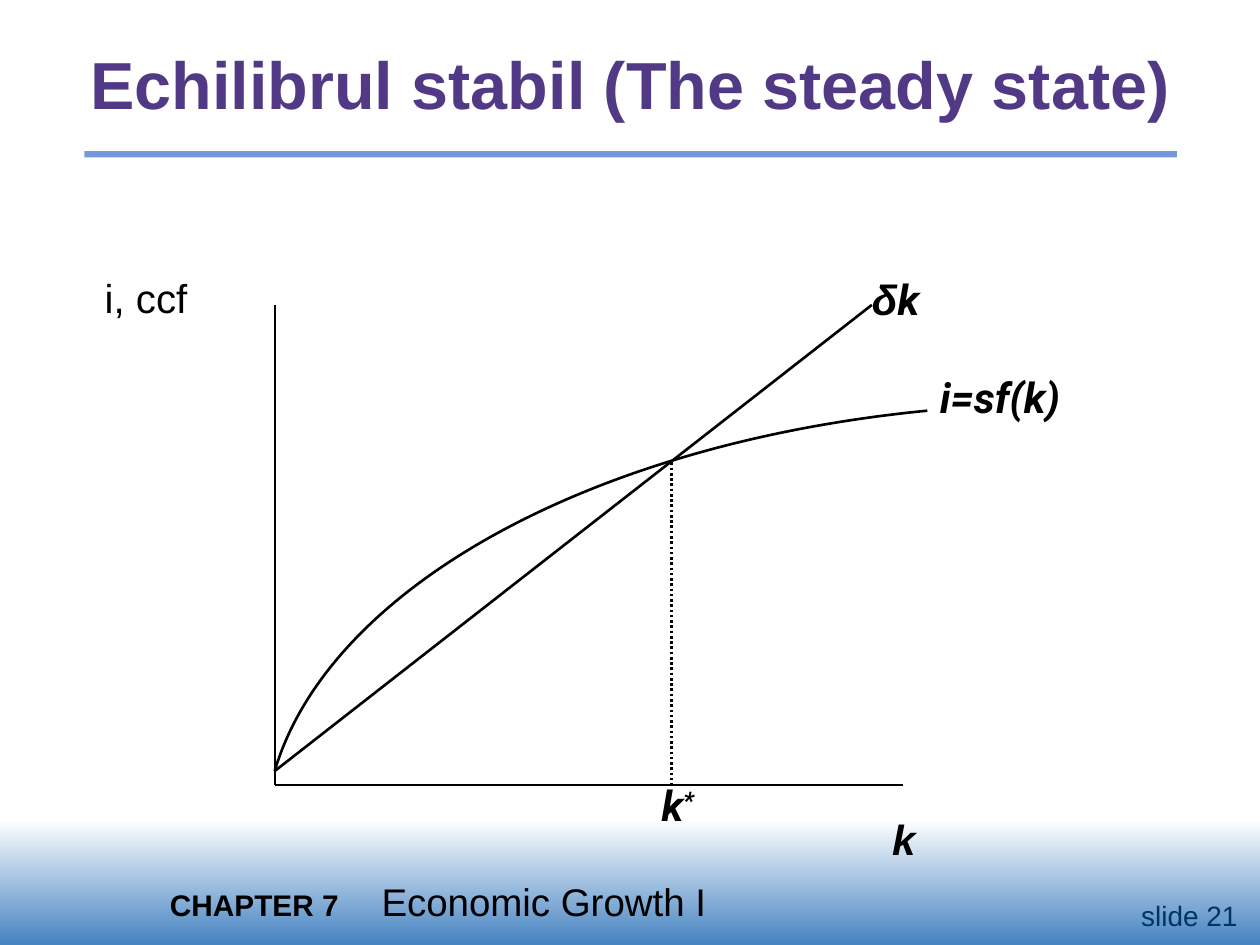
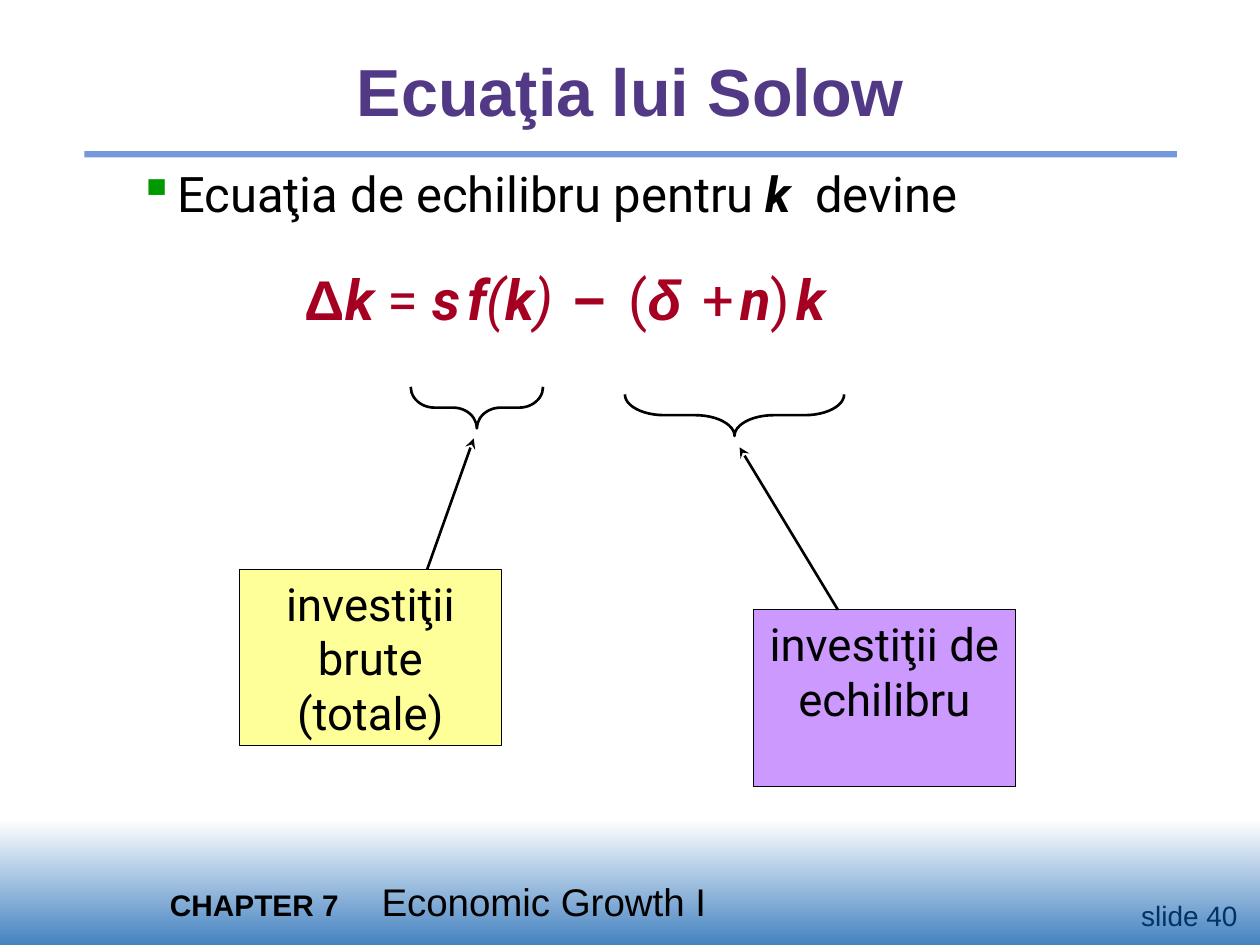
import pptx
import pptx.dml.color
import pptx.enum.dml
import pptx.enum.shapes
import pptx.enum.text
import pptx.oxml
import pptx.oxml.ns
import pptx.util

Inches, Pt = pptx.util.Inches, pptx.util.Pt
qn = pptx.oxml.ns.qn
SHAPE = pptx.enum.shapes.MSO_SHAPE
ALIGN = pptx.enum.text.PP_ALIGN
ANCHOR = pptx.enum.text.MSO_ANCHOR

COLORS = {
    "black": "000000", "white": "FFFFFF", "title": "523985", "rule": "7598DD",
    "band": "4583C1", "number": "003366", "bullet": "009900",
    "equation": "A50021", "yellow": "FFFF99", "violet": "CC99FF",
}
TITLE_ONLY = 5


def rgb(name):
    """Return the named colour of the palette."""
    return pptx.dml.color.RGBColor.from_string(COLORS[name])


def add_child(parent, tag, **attrs):
    """Append a drawing element with attributes and return it."""
    el = parent.makeelement(qn(tag), attrs)
    parent.append(el)
    return el


def style(font, size=None, name=None, color=None, bold=None, italic=None):
    """Set the given properties of a run or paragraph font."""
    if size:
        font.size = Pt(size)
    if name:
        font.name = name
    if color:
        font.color.rgb = rgb(color)
    if bold is not None:
        font.bold = bold
    if italic is not None:
        font.italic = italic


def write(p, runs, align=ALIGN.LEFT, **shared):
    """Fill a paragraph with (text, own font properties) runs."""
    p.alignment = align
    style(p.font, **shared)
    for text, own in runs:
        r = p.add_run()
        r.text = text
        style(r.font, **own)


def set_frame(tf, insets=(0.1, 0.05), anchor=ANCHOR.TOP):
    """Wrap a text frame and set its margins and anchor."""
    tf.word_wrap = True
    tf.auto_size = pptx.enum.text.MSO_AUTO_SIZE.NONE
    tf.margin_left = tf.margin_right = Inches(insets[0])
    tf.margin_top = tf.margin_bottom = Inches(insets[1])
    tf.vertical_anchor = anchor


def add_text(s, box, **frame):
    """Add a text box and return its text frame."""
    tf = s.shapes.add_textbox(*map(Inches, box)).text_frame
    set_frame(tf, **frame)
    return tf


def add_label(s, x, y, w, runs, align=ALIGN.LEFT, **font):
    """Add a one-line label without margins."""
    tf = add_text(s, (x, y, w, 0.4), insets=(0, 0), anchor=ANCHOR.MIDDLE)
    write(tf.paragraphs[0], runs, align, color="black", **font)
    return tf


def add_shape(s, kind, box, fill=None, line=None):
    """Add a preset shape without shadow; line is a width in points."""
    sp = s.shapes.add_shape(kind, *map(Inches, box))
    sp.shadow.inherit = False
    if fill:
        sp.fill.solid()
        sp.fill.fore_color.rgb = rgb(fill)
    else:
        sp.fill.background()
    if line:
        sp.line.color.rgb = rgb("black")
        sp.line.width = Pt(line)
    else:
        sp.line.fill.background()
    return sp


def add_line(s, start, end, width=1.5):
    """Add a straight black line between two points."""
    cx = s.shapes.add_connector(pptx.enum.shapes.MSO_CONNECTOR.STRAIGHT,
                                *map(Inches, (*start, *end)))
    cx.line.color.rgb = rgb("black")
    cx.line.width = Pt(width)
    add_child(cx._element.spPr, "a:effectLst")
    return cx


def add_curve(s, points):
    """Add an open cubic curve through start, two controls and end."""
    pts = [(Inches(x), Inches(y)) for x, y in points]
    builder = s.shapes.build_freeform(*pts[0])
    builder.add_line_segments(pts[1:], close=False)
    sp = builder.convert_to_shape()
    segments = list(sp._element.iter(qn("a:lnTo")))
    curve = add_child(segments[0].getparent(), "a:cubicBezTo")
    for segment in segments:
        curve.append(segment[0])
        segment.getparent().remove(segment)
    sp.shadow.inherit = False
    sp.fill.background()
    sp.line.color.rgb = rgb("black")
    sp.line.width = Pt(1.5)


def add_footer(s, number, x=0, y=6.5):
    """Add the gradient band with the chapter and the slide number."""
    band = add_shape(s, SHAPE.RECTANGLE, (x, y, 10, 1), "white")
    band.fill.gradient()
    band.fill.gradient_angle = 270
    for stop, place, color in zip(band.fill.gradient_stops, (0, 1), ("white", "band")):
        stop.position = place
        stop.color.rgb = rgb(color)

    p = add_text(s, (x + 1.25, y + 0.42, 7.5, 0.47)).paragraphs[0]
    write(p, [("CHAPTER 7", dict(size=17, bold=True)),
              ("\tEconomic Growth I", dict(size=22))], name="Arial", color="black")
    tabs = p._p.get_or_add_pPr().makeelement(qn("a:tabLst"), {})
    add_child(tabs, "a:tab", pos=str(Inches(1.68)), algn="l")
    p._p.pPr.insert(0, tabs)

    p = add_text(s, (x + 8.67, y + 0.58, 1.25, 0.37)).paragraphs[0]
    write(p, [(f"slide {number}", {})], ALIGN.RIGHT, size=16, name="Arial", color="number")


def add_slide(prs, title, number, box, inset):
    """Add a slide with the shared title, rule and footer."""
    s = prs.slides.add_slide(prs.slide_layouts[TITLE_ONLY])
    add_footer(s, number)
    add_shape(s, SHAPE.RECTANGLE, (0.67, 1.2, 8.67, 0.05), "rule")
    sp = s.shapes.title
    sp.left, sp.top, sp.width, sp.height = map(Inches, box)
    set_frame(sp.text_frame, inset, ANCHOR.MIDDLE)
    write(sp.text_frame.paragraphs[0], [(title, {})], ALIGN.CENTER,
          size=38, name="Arial", color="title", bold=True)
    return s


def add_steady_state(s, x, y, w, h):
    """Draw the investment and depreciation diagram in the box of its axes."""
    def at(dx, dy):
        return x + dx, y + dy

    add_line(s, at(0, 0), at(0, h), 1)
    add_line(s, at(0, h), at(w, h), 1)
    add_curve(s, [at(5.18, 0.84), at(2.5, 1.1), at(0.43, 2.25), at(0, 3.7)])
    add_line(s, at(0, 3.7), at(4.74, 0))
    drop = add_line(s, at(3.15, 1.25), at(3.15, h))
    drop.line.dash_style = pptx.enum.dml.MSO_LINE.ROUND_DOT

    add_label(s, *at(-2.02, -0.26), 2, [("i, ccf", {})], ALIGN.CENTER,
              size=23, name="Arial")
    bold = dict(size=24, bold=True, italic=True)
    add_label(s, *at(4.9, 4.04), 1.75, [("k", {})], name="Arial", **bold)
    add_label(s, *at(5.28, 0.53), 1.37, [("i=sf(k)", {})], name="Roboto", **bold)
    add_label(s, *at(4.74, -0.25), 1.08,
              [("δ", dict(name="Arial")), ("k", dict(name="Roboto"))], **bold)
    tf = add_label(s, *at(3.07, 3.77), 0.58, [("k", {}), ("*", {})],
                   name="Roboto", **bold)
    tf.paragraphs[0].runs[1]._r.get_or_add_rPr().set("baseline", "30000")


def add_equation(s, x, y, w, h):
    """Write the bulleted sentence and the equation below it."""
    tf = add_text(s, (x, y, w, h))
    p = tf.paragraphs[0]
    write(p, [("Ecuaţia de echilibru pentru ", {}),
              ("k ", dict(bold=True, italic=True)), (" devine", {})],
          size=28, name="Roboto", color="black")
    pPr = p._p.get_or_add_pPr()
    pPr.set("marL", str(Inches(0.31)))
    pPr.set("indent", str(-Inches(0.31)))
    bullet = pPr.makeelement(qn("a:buClr"), {})
    add_child(bullet, "a:srgbClr", val=COLORS["bullet"])
    pPr.insert(0, bullet)
    pPr.insert(1, pPr.makeelement(qn("a:buChar"), {"char": "▪"}))

    plain = dict(size=32, name="Roboto")
    slanted = dict(plain, italic=True)
    strong = dict(slanted, bold=True)
    thin = dict(strong, size=15)
    upright = dict(size=32, name="Arial", bold=True)
    p = tf.add_paragraph()
    p.space_before = Pt(24)
    write(p, [("Δ", upright), ("k", strong), (" = ", plain), ("s", strong),
              (" ", thin), ("f", strong), ("(", slanted), ("k", strong),
              (")", slanted), (" ", thin), (" ", plain), ("− ", upright),
              (" ", thin), ("(", plain), ("δ", dict(upright, italic=True)),
              (" ", plain), (" ", thin), ("+", plain), (" ", thin),
              ("n", strong), (")", plain), (" ", thin), ("k", strong)],
          color="equation")
    p._p.get_or_add_pPr().set("marL", str(Inches(1.32)))


def add_brace(s, x, y, w, h=0.33):
    """Add a brace that opens upwards and spans the given box."""
    box = (x + (w - h) / 2, y - (w - h) / 2, h, w)
    sp = add_shape(s, SHAPE.LEFT_BRACE, box, line=1.5)
    sp.rotation = 270
    sp.adjustments[0] = 0.18 * w / h


def add_note(s, x, y, text, fill, start, tip, w=2.08, h=1.4):
    """Add a filled note with an arrow; start and tip are relative to it."""
    sp = add_shape(s, SHAPE.RECTANGLE, (x, y, w, h), fill, 0.75)
    set_frame(sp.text_frame)
    write(sp.text_frame.paragraphs[0], [(text, {})], ALIGN.CENTER,
          size=26, name="Roboto", color="black")
    cx = add_line(s, (x + start, y), (x + tip[0], y + tip[1]))
    add_child(cx.line._get_or_add_ln(), "a:tailEnd", type="stealth")


prs = pptx.Presentation()
prs.slide_width, prs.slide_height = Inches(10), Inches(7.5)

s = add_slide(prs, "Echilibrul stabil (The steady state)", 21,
              (0.42, 0.31, 9.17, 0.69), (0, 0))
add_steady_state(s, 2.18, 2.42, 4.99, 3.81)

s = add_slide(prs, "Ecuaţia lui Solow", 40, (0.42, 0.25, 9.17, 0.92), (0.1, 0.05))
add_equation(s, 1, 1.25, 8.25, 2.33)
add_brace(s, 3.26, 3.07, 1.05)
add_brace(s, 4.96, 3.13, 1.74)
add_note(s, 5.98, 4.84, "investiţii de echilibru", "violet", 0.67, (-0.11, -1.29))
add_note(s, 1.9, 4.52, "investiţii brute (totale)", "yellow", 1.49, (1.86, -1.04))

prs.save("out.pptx")
